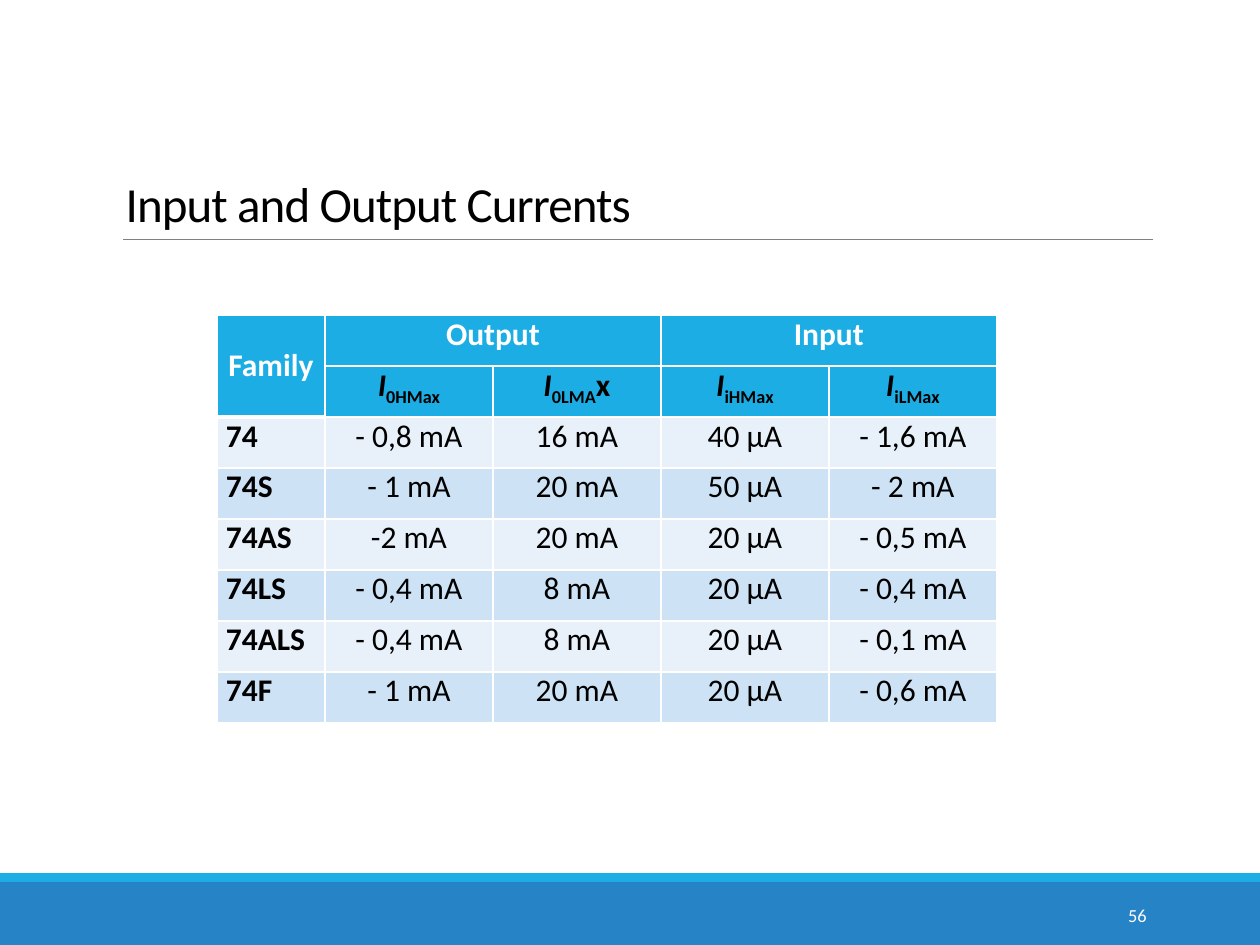
from pptx import Presentation
from pptx.dml.color import RGBColor as RGB
from pptx.enum.shapes import MSO_CONNECTOR as LINE, MSO_SHAPE as SHAPE
from pptx.enum.text import MSO_ANCHOR as ANCHOR, PP_ALIGN as ALIGN
from pptx.oxml.ns import qn
from pptx.util import Emu, Pt
from lxml.etree import SubElement as Sub

SCALE = 914400 // 126
HUES = {
    "blue": "2683C6", "cyan": "1CADE4", "gray": "808080", "white": "FFFFFF",
    "black": "000000", "pale": "E8F1FA", "light": "CDE3F5",
}


def px(*nums):
    return [Emu(round(num * 914400 / 126)) for num in nums]


def hue(name):
    return RGB.from_string(HUES[name])


class Deck:
    font = "Calibri"

    def __init__(self):
        self.show = Presentation()
        self.show.slide_width, self.show.slide_height = px(1260, 945)
        self.slide = self.show.slides.add_slide(self.show.slide_layouts[5])
        self.shapes = self.slide.shapes

    def style(self, run, size, color, bold=False):
        run.font.name = self.font
        run.font.size = Pt(size)
        run.font.bold = bold
        run.font.color.rgb = hue(color)

    def bar(self, box, color):
        bar = self.shapes.add_shape(SHAPE.RECTANGLE, *px(*box))
        bar.shadow.inherit = False
        bar.fill.solid()
        bar.fill.fore_color.rgb = hue(color)
        bar.line.fill.background()

    def rule(self, ends, color, width):
        rule = self.shapes.add_connector(LINE.STRAIGHT, *px(*ends))
        rule.line.color.rgb = hue(color)
        rule.line.width = Pt(width)
        Sub(rule._element.spPr, qn("a:effectLst"))

    def title(self, text, box):
        title = self.shapes.title
        title.left, title.top, title.width, title.height = px(*box)
        frame = title.text_frame
        frame.text = text
        frame.vertical_anchor = ANCHOR.BOTTOM
        para = frame.paragraphs[0]
        para.alignment = ALIGN.LEFT
        para.line_spacing = 0.85
        run = para.runs[0]
        self.style(run, 28, "black")
        run.font._element.set("spc", "-50")

    def label(self, text, box, size, color):
        frame = self.shapes.add_textbox(*px(*box)).text_frame
        frame.word_wrap = True
        frame.vertical_anchor = ANCHOR.MIDDLE
        frame.text = text
        para = frame.paragraphs[0]
        para.alignment = ALIGN.RIGHT
        self.style(para.runs[0], size, color)

    def grid(self, spot, cols, rows):
        size = sum(cols), sum(rows)
        table = self.shapes.add_table(
            len(rows), len(cols), *px(*spot, *size)).table
        for col, width in zip(table.columns, px(*cols)):
            col.width = width
        for row, height in zip(table.rows, px(*rows)):
            row.height = height
        return table

    def edge(self, cell, base=1):
        props = cell._tc.get_or_add_tcPr()
        for side, width in zip("LRTB", (1, 1, 1, base)):
            line = Sub(props, qn("a:ln" + side), w=str(Pt(width)))
            fill = Sub(line, qn("a:solidFill"))
            Sub(fill, qn("a:srgbClr"), val=HUES["white"])

    def cell(self, cell, parts, fill, color, bold, align=ALIGN.CENTER, base=1):
        self.edge(cell, base)
        cell.fill.solid()
        cell.fill.fore_color.rgb = hue(fill)
        cell.margin_left = cell.margin_right = px(9)[0]
        cell.margin_top = cell.margin_bottom = 0
        para = cell.text_frame.paragraphs[0]
        para.alignment = align
        for text, kind in parts:
            run = para.add_run()
            run.text = text
            self.style(run, 18, color, bold)
            if kind == "var":
                run.font.italic = True
            elif kind == "sub":
                run.font._element.set("baseline", "-25000")


HEADS = ["Family", "Output", "", "Input", ""]
SIGNS = [("0HMax", ""), ("0LMA", "x"), ("iHMax", ""), ("iLMax", "")]
DATA = [
    ["74", "- 0,8 mA", "16 mA", "40 μA", "- 1,6 mA"],
    ["74S", "- 1 mA", "20 mA", "50 μA", "- 2 mA"],
    ["74AS", "-2 mA", "20 mA", "20 μA", "- 0,5 mA"],
    ["74LS", "- 0,4 mA", "8 mA", "20 μA", "- 0,4 mA"],
    ["74ALS", "- 0,4 mA", "8 mA", "20 μA", "- 0,1 mA"],
    ["74F", "- 1 mA", "20 mA", "20 μA", "- 0,6 mA"],
]

deck = Deck()
deck.bar((0, 882, 1260, 63), "blue")
deck.bar((0, 873, 1260, 9), "cyan")
deck.rule((123, 239, 1153, 239), "gray", 0.5)
deck.title("Input and Output Currents", (113, 39, 1040, 200))
deck.label("56", (1023, 890, 136, 50), 10.5, "white")

table = deck.grid((217, 315), [108] + [168] * 4, [51] * 8)
for first, last in [((0, 0), (1, 0)), ((0, 1), (0, 2)), ((0, 3), (0, 4))]:
    table.cell(*first).merge(table.cell(*last))

for col, text in enumerate(HEADS):
    parts = [(text, "")] if text else []
    deck.cell(table.cell(0, col), parts, "cyan", "white", True,
              base=1 if col else 3)
table.cell(0, 0).vertical_anchor = ANCHOR.MIDDLE

deck.cell(table.cell(1, 0), [], "cyan", "white", True, base=3)
for col, (low, tail) in enumerate(SIGNS, 1):
    parts = [("I", "var"), (low, "sub")] + ([(tail, "")] if tail else [])
    deck.cell(table.cell(1, col), parts, "cyan", "black", True)

for row, texts in enumerate(DATA, 2):
    fill = "light" if row % 2 else "pale"
    for col, text in enumerate(texts):
        align = ALIGN.CENTER if col else ALIGN.JUSTIFY
        deck.cell(table.cell(row, col), [(text, "")], fill, "black",
                  col == 0, align)

deck.show.save("out.pptx")
